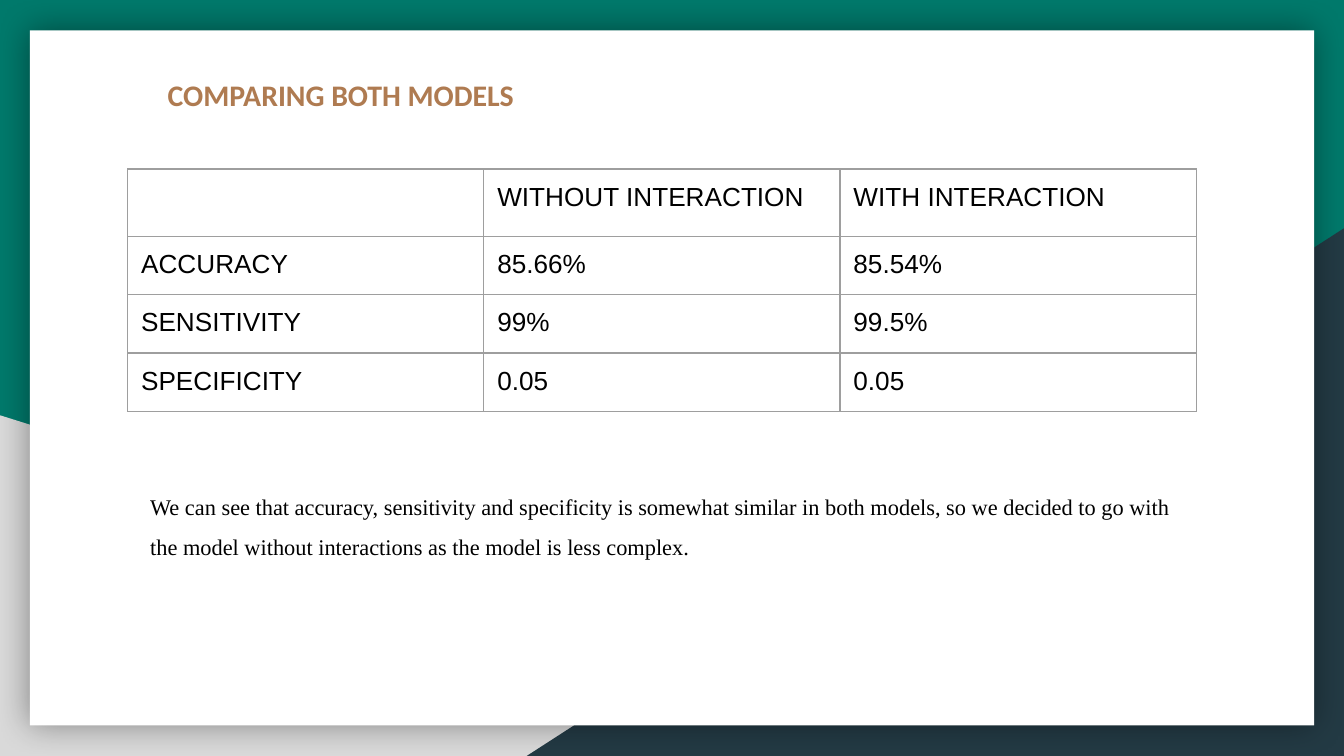
from lxml.etree import SubElement
from pptx import Presentation
from pptx.dml.color import RGBColor
from pptx.enum.shapes import MSO_SHAPE
from pptx.oxml.ns import qn
from pptx.util import Pt

TEAL = RGBColor(0x00, 0x79, 0x6B)
GRAY = RGBColor(0xD9, 0xD9, 0xD9)
NAVY = RGBColor(0x23, 0x3A, 0x44)
WHITE = RGBColor(0xFF, 0xFF, 0xFF)
BLACK = RGBColor(0x00, 0x00, 0x00)
BRONZE = RGBColor(0xAF, 0x7B, 0x51)
BORDER = RGBColor(0x9E, 0x9E, 0x9E)

INSET = Pt(7.2)
COLUMN_WIDTH = 190.8
ROW_HEIGHTS = [36, 31.1, 31.1, 31.1]
RESULTS = [
    ["", "WITHOUT INTERACTION", "WITH INTERACTION"],
    ["ACCURACY", "85.66%", "85.54%"],
    ["SENSITIVITY", "99%", "99.5%"],
    ["SPECIFICITY", "0.05", "0.05"],
]


def add_panel(slide, preset, left, top, width, height, color):
    panel = slide.shapes.add_shape(preset, Pt(left), Pt(top), Pt(width), Pt(height))
    panel.shadow.inherit = False
    panel.fill.solid()
    panel.fill.fore_color.rgb = color
    panel.line.fill.background()
    return panel


def add_glow_shadow(panel):
    """Give the panel a soft black shadow on all sides."""
    effects = panel.element.spPr.find(qn("a:effectLst"))
    shadow = SubElement(effects, qn("a:outerShdw"), blurRad=str(Pt(18)), dist="0",
                        dir="0", algn="ctr", rotWithShape="0")
    black = SubElement(shadow, qn("a:srgbClr"), val=str(BLACK))
    SubElement(black, qn("a:alpha"), val="40000")


def style_runs(paragraph, font_name, size, color, bold=False):
    for run in paragraph.runs:
        run.font.name = font_name
        run.font.size = Pt(size)
        run.font.color.rgb = color
        run.font.bold = bold


def set_insets(holder):
    holder.margin_left = holder.margin_right = INSET
    holder.margin_top = holder.margin_bottom = INSET


def add_text(slide, left, top, width, height, text):
    """Add a wrapped text box and return its paragraph."""
    box = slide.shapes.add_textbox(Pt(left), Pt(top), Pt(width), Pt(height))
    frame = box.text_frame
    frame.word_wrap = True
    set_insets(frame)
    frame.text = text
    return frame.paragraphs[0]


def add_borders(cell):
    properties = cell._tc.get_or_add_tcPr()
    for side in ("L", "R", "T", "B"):
        line = SubElement(properties, qn(f"a:ln{side}"), w=str(Pt(0.75)))
        fill = SubElement(line, qn("a:solidFill"))
        SubElement(fill, qn("a:srgbClr"), val=str(BORDER))


def add_results_table(slide, left, top):
    columns = len(RESULTS[0])
    frame = slide.shapes.add_table(len(RESULTS), columns, Pt(left), Pt(top),
                                   Pt(columns * COLUMN_WIDTH), Pt(sum(ROW_HEIGHTS)))
    table = frame.table
    table.first_row = table.horz_banding = False
    for column in table.columns:
        column.width = Pt(COLUMN_WIDTH)
    for row, height, values in zip(table.rows, ROW_HEIGHTS, RESULTS):
        row.height = Pt(height)
        for cell, value in zip(row.cells, values):
            cell.text = value
            set_insets(cell)
            style_runs(cell.text_frame.paragraphs[0], "Arial", 14, BLACK)
            add_borders(cell)
            cell.fill.background()


def add_backdrop(slide):
    slide.background.fill.solid()
    slide.background.fill.fore_color.rgb = TEAL
    add_panel(slide, MSO_SHAPE.RIGHT_TRIANGLE, 0, 222.5, 580.3, 182.5, GRAY)
    right_corner = add_panel(slide, MSO_SHAPE.RIGHT_TRIANGLE, 282.2, 122.3, 437.8, 282.7, NAVY)
    right_corner.element.spPr.xfrm.set("flipH", "1")
    card = add_panel(slide, MSO_SHAPE.RECTANGLE, 16, 16.3, 688, 372.4, WHITE)
    add_glow_shadow(card)


def main():
    presentation = Presentation()
    presentation.slide_width, presentation.slide_height = Pt(720), Pt(405)
    slide = presentation.slides.add_slide(presentation.slide_layouts[6])

    add_backdrop(slide)
    title = add_text(slide, 82.8, 33.8, 578.2, 33.8, "COMPARING BOTH MODELS")
    style_runs(title, "Calibri", 16, BRONZE, bold=True)
    add_results_table(slide, 68.4, 90.6)
    conclusion = add_text(
        slide, 73.4, 249.8, 578.2, 51.1,
        "We can see that accuracy, sensitivity and specificity is somewhat similar in both "
        "models, so we decided to go with the model without interactions as the model is "
        "less complex.")
    conclusion.line_spacing = 1.5
    style_runs(conclusion, "Times New Roman", 12, BLACK)

    presentation.save("out.pptx")


if __name__ == "__main__":
    main()
